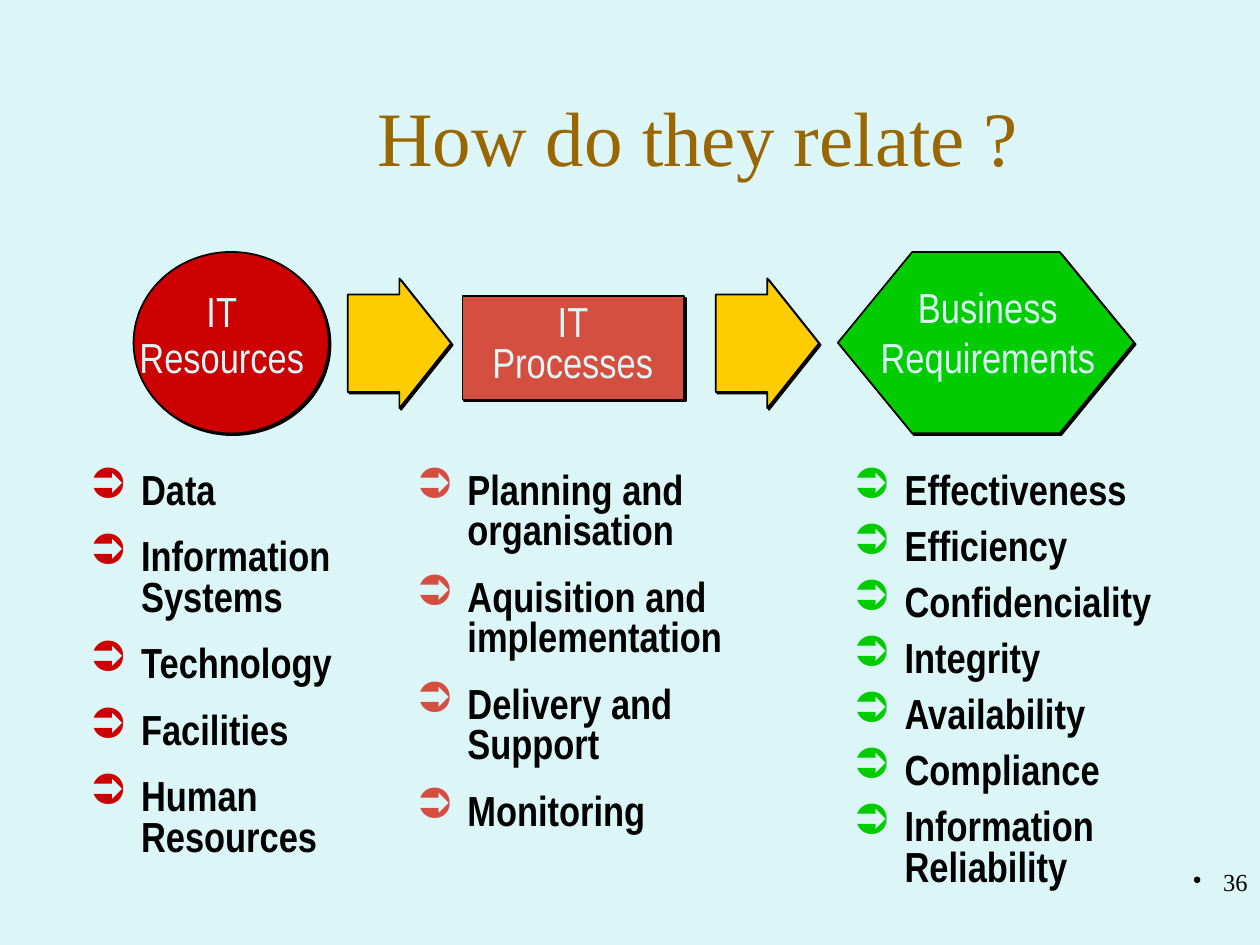
import pptx
import pptx.util
import pptx.oxml
import pptx.oxml.ns
import pptx.dml.color
import pptx.enum.shapes
import pptx.enum.text
from pptx.util import Inches

RED, BRICK, GREEN, YELLOW = "CC0000", "D54F41", "00CC00", "FFCC00"
PALE, BLACK, BROWN = "DCF6F8", "000000", "996600"
NS = pptx.oxml.ns.nsdecls("a")
SHADOW = (f'<a:effectLst {NS}><a:outerShdw dist="17780" dir="2700000" algn="ctr" rotWithShape="0">'
          f'<a:srgbClr val="{BLACK}"/></a:outerShdw></a:effectLst>')
ALIGN = pptx.enum.text.PP_ALIGN
KIND = pptx.enum.shapes.MSO_SHAPE


def rgb(value):
    return pptx.dml.color.RGBColor.from_string(value)


def write(frame, lines, size, font, color, align=ALIGN.LEFT, bold=False, spacing=1.0,
          before=0, bullet=None, indent=0, shadow=False, inset=0.13):
    """Fill a text frame with one paragraph per line; bullet is (character, colour, percent)."""
    layout = {"word_wrap": True, "margin_left": Inches(inset), "margin_right": Inches(inset),
              "margin_top": Inches(inset / 2), "margin_bottom": Inches(inset / 2)}
    for name, value in layout.items():
        setattr(frame, name, value)
    for number, line in enumerate(lines):
        paragraph = frame.add_paragraph() if number else frame.paragraphs[0]
        paragraph.alignment = align
        paragraph.line_spacing = spacing
        paragraph.space_before = pptx.util.Pt(before if number else 0)
        if bullet:
            character, bullet_color, percent = bullet
            properties = paragraph._p.get_or_add_pPr()
            properties.set("marL", str(Inches(indent)))
            properties.set("indent", str(-Inches(indent)))
            for xml in (f'<a:buClr {NS}><a:srgbClr val="{bullet_color}"/></a:buClr>',
                        f'<a:buSzPct {NS} val="{percent * 1000}"/>',
                        f'<a:buChar {NS} char="{character}"/>'):
                properties.append(pptx.oxml.parse_xml(xml))
        run = paragraph.add_run()
        run.text = line
        for name, value in {"size": pptx.util.Pt(size), "name": font, "bold": bold}.items():
            setattr(run.font, name, value)
        run.font.color.rgb = rgb(color)
        if shadow:
            latin = run._r.rPr.find(pptx.oxml.ns.qn("a:latin"))
            latin.addprevious(pptx.oxml.parse_xml(SHADOW))


deck = pptx.Presentation()
deck.slide_width, deck.slide_height = Inches(10), Inches(7.5)
slide = deck.slides.add_slide(deck.slide_layouts[5])
slide.background.fill.solid()
slide.background.fill.fore_color.rgb = rgb(PALE)

title = slide.shapes.title
title.left, title.top, title.width, title.height = map(Inches, (1.33, 0.58, 8.42, 1))
title.text_frame.vertical_anchor = pptx.enum.text.MSO_ANCHOR.MIDDLE
write(title.text_frame, ["How do they relate ?"], 44, "Times New Roman", BROWN,
      ALIGN.CENTER, inset=0.1)

# Flow from resources through processes to requirements
flow = [
    (KIND.OVAL, RED, (1.06, 2, 1.55, 1.44), []),
    (KIND.RIGHT_ARROW, YELLOW, (2.76, 2.21, 0.82, 1.03), [0.75, 0.5]),
    (KIND.RECTANGLE, BRICK, (3.67, 2.35, 1.76, 0.82), []),
    (KIND.RIGHT_ARROW, YELLOW, (5.68, 2.21, 0.82, 1.03), [0.75, 0.5]),
    (KIND.HEXAGON, GREEN, (6.65, 2, 2.35, 1.44), [0.41]),
]
for kind, color, place, adjustments in flow:
    step = slide.shapes.add_shape(kind, *map(Inches, place))
    for index, value in enumerate(adjustments):
        step.adjustments[index] = value
    step.fill.solid()
    step.fill.fore_color.rgb = rgb(color)
    step.line.color.rgb = rgb(BLACK)
    step.line.width = pptx.util.Pt(1)
    step._element.spPr.append(pptx.oxml.parse_xml(SHADOW))

labels = [
    ((0.92, 2.25, 1.84, 0.85), ["IT", "Resources"], 0.9),
    ((3.7, 2.36, 1.69, 0.77), ["IT Processes"], 0.8),
    ((6.68, 2.17, 2.32, 0.93), ["Business Requirements"], 1.0),
]
for place, lines, spacing in labels:
    label = slide.shapes.add_textbox(*map(Inches, place))
    write(label.text_frame, lines, 24, "Arial Narrow", PALE, ALIGN.CENTER,
          spacing=spacing, shadow=True)
    if len(lines) > 1:  # "IT" sits a little left of the centre
        label.text_frame.paragraphs[0]._p.pPr.set("marR", str(Inches(0.16)))

columns = [
    ((0.58, 3.69, 2.58, 3.2), RED, 15,
     ["Data", "Information Systems", "Technology", "Facilities", "Human Resources"]),
    ((3.17, 3.69, 3.41, 2.99), BRICK, 15,
     ["Planning and organisation", "Aquisition and implementation",
      "Delivery and Support", "Monitoring"]),
    ((6.64, 3.69, 3.03, 3.44), GREEN, 9,
     ["Effectiveness", "Efficiency", "Confidenciality", "Integrity", "Availability",
      "Compliance", "Information Reliability"]),
]
for place, color, before, items in columns:
    column = slide.shapes.add_textbox(*map(Inches, place))
    write(column.text_frame, items, 24, "Arial Narrow", BLACK, bold=True, spacing=0.8,
          before=before, bullet=("➲", color, 100), indent=0.41)

page_number = slide.shapes.add_textbox(*map(Inches, (7.92, 6.83, 2.08, 0.5)))
write(page_number.text_frame, ["36"], 14, "Times New Roman", BLACK, ALIGN.RIGHT,
      bullet=("●", BLACK, 45), indent=0.24, inset=0.1)

deck.save("out.pptx")
